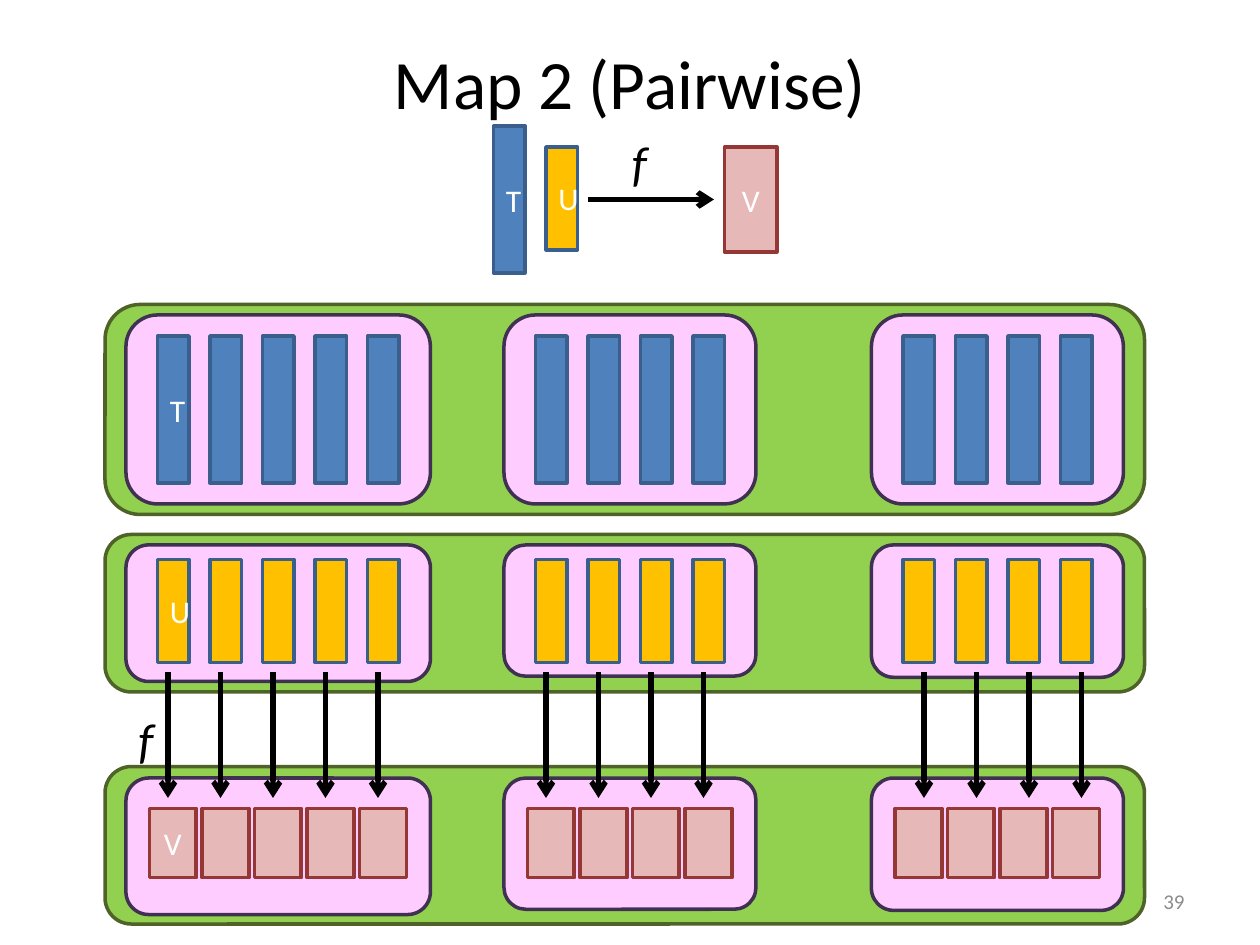
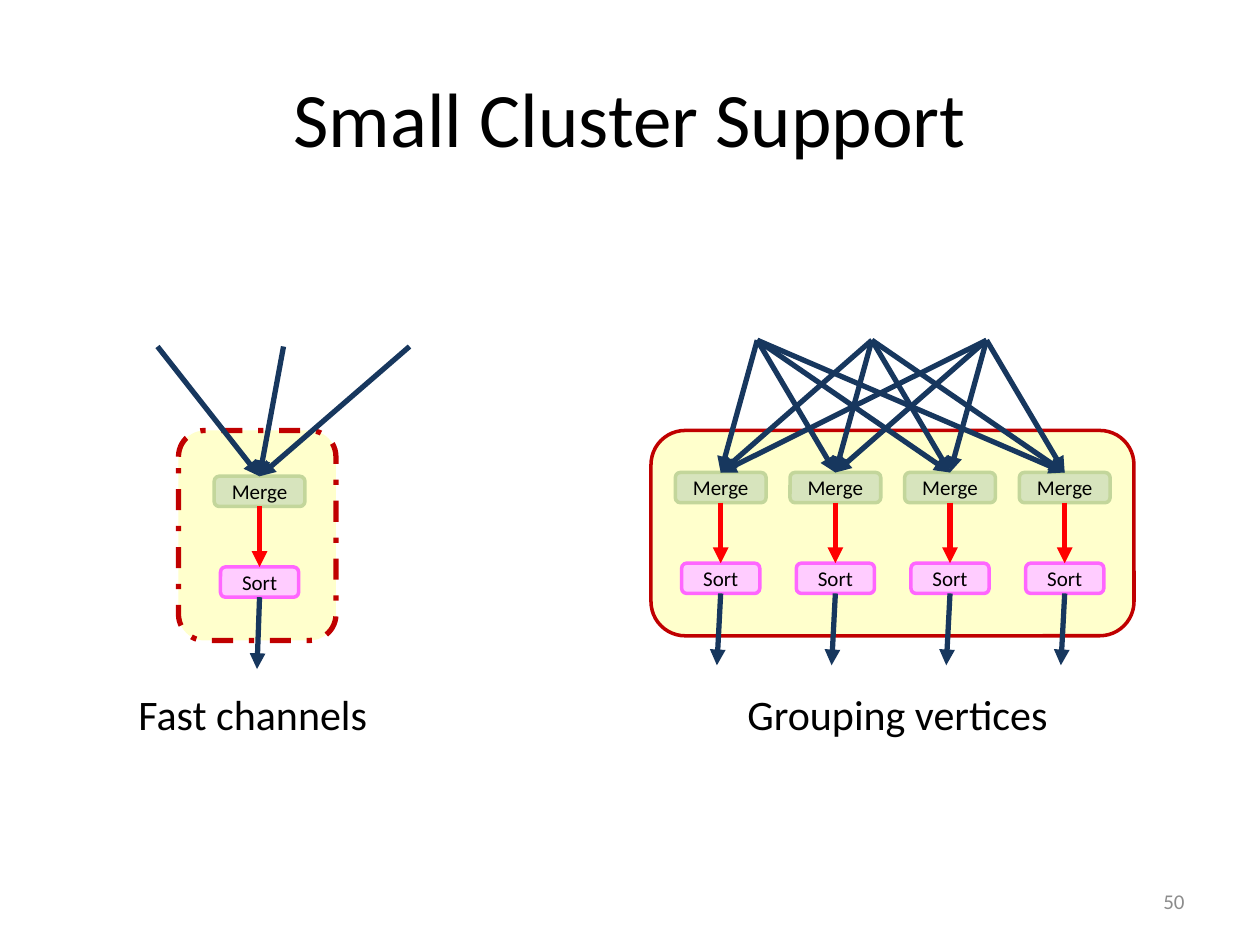
"""Build two slides on mapped groups and cluster support."""
import lxml.etree
import pptx
import pptx.dml.color
import pptx.enum.dml
import pptx.enum.shapes
import pptx.enum.text
import pptx.oxml.ns
import pptx.util

RGB = pptx.dml.color.RGBColor
SHAPE = pptx.enum.shapes.MSO_SHAPE
ALIGN = pptx.enum.text.PP_ALIGN
MIDDLE = pptx.enum.text.MSO_ANCHOR.MIDDLE
DASH = pptx.enum.dml.MSO_LINE.DASH_DOT

FONT = "Calibri"
BLACK = RGB(0x00, 0x00, 0x00)
WHITE = RGB(0xFF, 0xFF, 0xFF)
GREY = RGB(0x8C, 0x8C, 0x8C)
RED = RGB(0xFF, 0x00, 0x00)
NAVY = RGB(0x17, 0x37, 0x5E)
PINK = RGB(0xFF, 0xCC, 0xFF)
CREAM = RGB(0xFF, 0xFF, 0xCC)
CRIMSON = RGB(0xC0, 0x00, 0x00)
BAND = (RGB(0x92, 0xD0, 0x50), RGB(0x4F, 0x62, 0x28))
GROUP = (PINK, RGB(0x40, 0x31, 0x52))
BLUE = RGB(0x3A, 0x5F, 0x8C)
T_PAIR = (RGB(0x4F, 0x81, 0xBD), BLUE)
U_PAIR = (RGB(0xFF, 0xC0, 0x00), BLUE)
V_PAIR = (RGB(0xE6, 0xB9, 0xB8), RGB(0x95, 0x37, 0x35))
MERGE = (RGB(0xD7, 0xE4, 0xBD), RGB(0xC3, 0xD6, 0x9B))
SORT = (PINK, RGB(0xFF, 0x66, 0xFF))

COLS, ROWS = 120, 90
CELL = pptx.util.Inches(10) / COLS
STEP = 5
GROUPS = ((12, 29, 5), (48, 24, 4), (83, 24, 4))
TRACK = 10.92


def grid(*cells):
    """Turn counts of grid cells into lengths."""
    return [pptx.util.Emu(round(cell * CELL)) for cell in cells]


def write(frame, text, size=18, color=BLACK, align=ALIGN.CENTER,
          italic=None, anchor=MIDDLE, wrap=True):
    """Put formatted text in a frame."""
    frame.word_wrap = wrap
    frame.vertical_anchor = anchor
    par = frame.paragraphs[0]
    par.alignment = align
    run = par.add_run()
    run.text = text
    run.font.name = FONT
    run.font.size = pptx.util.Pt(size)
    run.font.color.rgb = color
    run.font.italic = italic


def note(slide, text, area, **form):
    """Add a text box with formatted text."""
    write(slide.shapes.add_textbox(*grid(*area)).text_frame, text, **form)


def tag(slide, text, area, size, italic=None):
    """Add a short label that does not wrap."""
    note(slide, text, area, size=size, italic=italic, align=ALIGN.LEFT,
         anchor=pptx.enum.text.MSO_ANCHOR.TOP, wrap=False)


def box(slide, area, pair, text="", kind=SHAPE.ROUNDED_RECTANGLE,
        width=2, dash=None, **form):
    """Add a filled and outlined shape, with text if given."""
    shape = slide.shapes.add_shape(kind, *grid(*area))
    shape.shadow.inherit = False
    shape.fill.solid()
    shape.fill.fore_color.rgb, shape.line.color.rgb = pair
    shape.line.width = pptx.util.Pt(width)
    if dash:
        shape.line.dash_style = dash
    if text:
        write(shape.text_frame, text, **form)


def bar(slide, area, pair, text=""):
    """Add one data item as a plain rectangle."""
    box(slide, area, pair, text, kind=SHAPE.RECTANGLE, color=WHITE)


def arrow(slide, start, end, color=BLACK, head="triangle"):
    """Draw a straight arrow between two grid points."""
    kind = pptx.enum.shapes.MSO_CONNECTOR.STRAIGHT
    link = slide.shapes.add_connector(kind, *grid(*start, *end))
    link.line.color.rgb = color
    link.line.width = pptx.util.Pt(3)
    name = pptx.oxml.ns.qn
    lxml.etree.SubElement(link.line._get_or_add_ln(), name("a:tailEnd"), type=head)
    lxml.etree.SubElement(link._element.spPr, name("a:effectLst"))


def begin(deck, title, number, height, size):
    """Add a slide with its title and page number."""
    slide = deck.slides.add_slide(deck.slide_layouts[5])
    head = slide.shapes.title
    head.left, head.top, head.width, head.height = grid(6, 3.6, 108, height)
    write(head.text_frame, title, size=size)
    note(slide, number, (86, 83.4, 28, 4.8), size=12, color=GREY, align=ALIGN.RIGHT)
    return slide


def band(slide, text, pair, outer, inner, item, inset=3, width=3):
    """Draw a band of groups, whose first item bears the text."""
    top, height = outer
    box(slide, (10, top, 99, height), BAND)
    for (left, span, count), tall in zip(GROUPS, inner[1:]):
        box(slide, (left, inner[0], span, tall), GROUP)
        for place in range(count):
            spot = left + inset + place * STEP
            bar(slide, (spot, item[0], width, item[1]), pair, text)
            text = ""


def chain(slide, mid, top, drift):
    """Draw Merge over Sort, with arrows between and below."""
    base = top + 8.64
    box(slide, (mid - 4.32, top, 8.64, 2.88), MERGE, "Merge", size=12)
    box(slide, (mid - 3.72, base, 7.44, 2.88), SORT, "Sort", size=12)
    arrow(slide, (mid, top + 2.88), (mid, base), RED)
    arrow(slide, (mid, base + 2.88), (mid - drift, base + 9.72), NAVY)


def pairwise(deck):
    """Build the slide on mapping pairs."""
    slide = begin(deck, "Map 2 (Pairwise)", "39", 8.4, 39.6)
    bar(slide, (47, 12, 3, 14), T_PAIR, "T")
    bar(slide, (52, 14, 3, 9.8), U_PAIR, "U")
    bar(slide, (69, 14, 5, 10), V_PAIR, "V")
    arrow(slide, (56, 19), (68, 19), head="arrow")
    band(slide, "V", V_PAIR, (73, 15), (74.1, 13, 12.5, 12.6), (77, 6.6), 2.25, 4.45)
    band(slide, "U", U_PAIR, (50.9, 15), (51.9, 13, 12.5, 12.6), (53.3, 9.8))
    band(slide, "T", T_PAIR, (29, 20), (30, 18, 18, 18), (32, 14))
    for first, (_, _, count) in zip((16, 52, 88), GROUPS):
        for place in range(count):
            spot = first + place * STEP
            arrow(slide, (spot, 64), (spot, 76), head="arrow")
    for left, top in ((59, 12), (12, 67)):
        tag(slide, "f", (left, top, 3.84, 6.84), 28, italic=True)


def cluster(deck):
    """Build the slide on small clusters."""
    slide = begin(deck, "Small Cluster Support", "50", 15, 44)
    box(slide, (17, 41, 15, 20), (CREAM, CRIMSON), width=3, dash=DASH)
    box(slide, (62, 41, 46, 19.56), (CREAM, CRIMSON))
    chain(slide, 24.72, 45.36, 0.24)
    for source in (15, 27, 39):
        arrow(slide, (source, 33), (24.72, 45.36), NAVY)
    mids = [68.64 + place * TRACK for place in range(4)]
    for mid in mids:
        chain(slide, mid, 45, 0.36)
        for place in range(3):
            arrow(slide, (72.12 + place * TRACK, 32.4), (mid, 45), NAVY)
    tag(slide, "Fast channels", (12, 65, 24.48, 6), 24)
    tag(slide, "Grouping vertices", (70, 65, 31.32, 6), 24)


def main():
    """Build and save the deck."""
    deck = pptx.Presentation()
    deck.slide_width, deck.slide_height = grid(COLS, ROWS)
    pairwise(deck)
    cluster(deck)
    deck.save("out.pptx")


if __name__ == "__main__":
    main()
